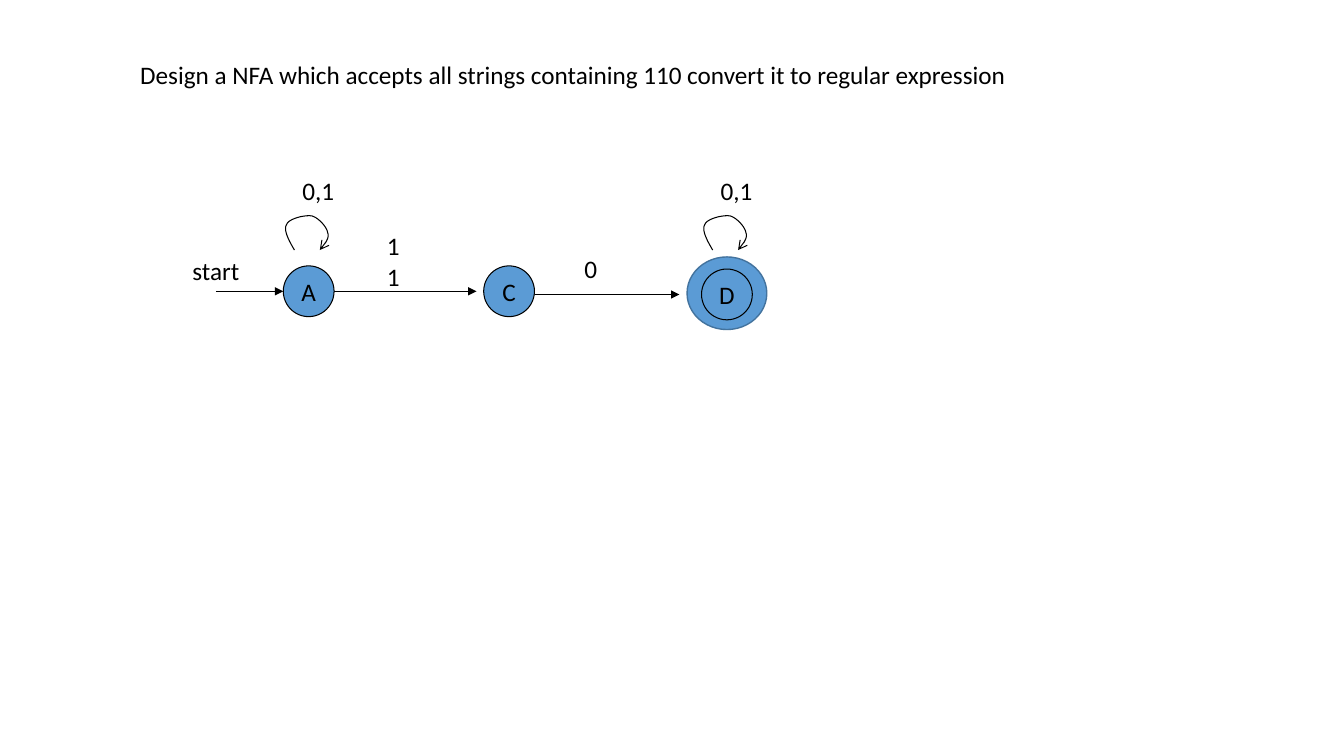
from pptx import Presentation
from pptx.dml.color import RGBColor
from pptx.enum.shapes import MSO_CONNECTOR as Link, MSO_SHAPE as Preset
from pptx.enum.text import MSO_ANCHOR as Anchor, MSO_AUTO_SIZE as Fit, PP_ALIGN as Align
from pptx.oxml.ns import qn
from pptx.util import Cm, Pt
from lxml.etree import SubElement

INK, STATE_BLUE, RIM_BLUE = "000000", "5B9BD5", "43739E"
FONT = {"name": "Calibri", "size": Pt(18), "bold": False}
LABEL_FRAME = {"word_wrap": False, "auto_size": Fit.SHAPE_TO_FIT_TEXT, "vertical_anchor": Anchor.TOP}
STATE_FRAME = {"word_wrap": False, "vertical_anchor": Anchor.MIDDLE}
TITLE_FRAME = LABEL_FRAME | {"word_wrap": True}
LABEL_HEIGHT = 1.02
STATE_SIZE = 1.28
RADIUS = STATE_SIZE / 2
AXIS_Y = 7.34
FINAL_Y = 7.42
STATE_X = {"A": 7.78, "C": 12.83, "D": 18.32}
LOOP_START = (-0.36, 6.3)
LOOP_CURVES = [
    [(-0.51, 6.05), (-0.64, 5.79), (-0.56, 5.66)],
    [(-0.51, 5.51), (-0.1, 5.41), (0.08, 5.44)],
    [(0.25, 5.49), (0.46, 5.72), (0.48, 5.87)],
    [(0.53, 5.99), (0.41, 6.15), (0.28, 6.3)],
]
CURVE_STEPS = 10


def color(value):
    """Turn a hex string into a colour."""
    return RGBColor.from_string(value)


def apply(target, values):
    """Set every attribute in the dict on the target."""
    for name, value in values.items():
        setattr(target, name, value)


def write(frame, text, layout, align=Align.LEFT):
    """Write one formatted paragraph into a text frame."""
    apply(frame, layout)
    paragraph = frame.paragraphs[0]
    paragraph.alignment = align
    run = paragraph.add_run()
    run.text = text
    apply(run.font, FONT)
    run.font.color.rgb = color(INK)


def outline(shape, line_color=INK, width=0.75):
    """Give a shape its line colour and width."""
    shape.line.color.rgb = color(line_color)
    shape.line.width = Pt(width)


def add_arrowhead(shape, head):
    """End the line of a shape with an arrowhead."""
    SubElement(shape.element.spPr.find(qn("a:ln")), qn("a:tailEnd"), type=head)


def add_title(slide, text):
    """Place and write the slide title."""
    title = slide.shapes.title
    apply(title, {"left": Cm(3.28), "top": Cm(1.37), "width": Cm(28.4), "height": Cm(LABEL_HEIGHT)})
    write(title.text_frame, text, TITLE_FRAME)


def add_label(slide, text, left, top, width):
    """Add a symbol or word beside an arrow."""
    label = slide.shapes.add_textbox(Cm(left), Cm(top), Cm(width), Cm(LABEL_HEIGHT))
    write(label.text_frame, text, LABEL_FRAME)


def add_oval(slide, x, y, width, height, line_color=INK, line_width=0.75):
    """Add a blue oval centred on a point."""
    oval = slide.shapes.add_shape(
        Preset.OVAL, Cm(x - width / 2), Cm(y - height / 2), Cm(width), Cm(height))
    oval.shadow.inherit = False
    oval.fill.solid()
    oval.fill.fore_color.rgb = color(STATE_BLUE)
    outline(oval, line_color, line_width)
    return oval


def add_state(slide, name, y):
    """Add a named state of the automaton."""
    state = add_oval(slide, STATE_X[name], y, STATE_SIZE, STATE_SIZE)
    write(state.text_frame, name, STATE_FRAME, Align.CENTER)


def add_transition(slide, start_x, end_x, y):
    """Add a horizontal transition arrow."""
    arrow = slide.shapes.add_connector(Link.STRAIGHT, Cm(start_x), Cm(y), Cm(end_x), Cm(y))
    outline(arrow)
    add_arrowhead(arrow, "triangle")
    SubElement(arrow.element.spPr, qn("a:effectLst"))


def curve_points(start, controls):
    """Return points along one cubic curve after its start."""
    points = []
    for step in range(1, CURVE_STEPS + 1):
        t = step / CURVE_STEPS
        weights = ((1 - t) ** 3, 3 * t * (1 - t) ** 2, 3 * t ** 2 * (1 - t), t ** 3)
        points.append(tuple(
            sum(weight * value for weight, value in zip(weights, axis))
            for axis in zip(start, *controls)))
    return points


def add_loop(slide, center_x, symbols):
    """Add a labelled self-loop above a state."""
    points, start = [], LOOP_START
    for controls in LOOP_CURVES:
        points += curve_points(start, controls)
        start = controls[-1]
    builder = slide.shapes.build_freeform(Cm(center_x + LOOP_START[0]), Cm(LOOP_START[1]))
    builder.add_line_segments([(Cm(center_x + x), Cm(y)) for x, y in points], close=False)
    loop = builder.convert_to_shape()
    loop.shadow.inherit = False
    loop.fill.background()
    outline(loop)
    add_arrowhead(loop, "arrow")
    add_label(slide, symbols, center_x - 0.41, 4.29, 1.32)


def main():
    """Build the automaton slide and save it."""
    deck = Presentation()
    apply(deck, {"slide_width": Cm(33.87), "slide_height": Cm(19.05)})
    slide = deck.slides.add_slide(deck.slide_layouts[5])
    add_title(slide, "Design a NFA which accepts all strings containing 110 convert it to regular expression")

    add_transition(slide, 5.44, STATE_X["A"] - RADIUS, AXIS_Y)
    add_transition(slide, STATE_X["A"] + RADIUS, 12.01, AXIS_Y)
    add_transition(slide, STATE_X["C"] + RADIUS, 17.12, FINAL_Y)
    add_label(slide, "start", 4.6, 6.3, 1.7)
    add_label(slide, "11", 9.5, 5.69, 1.14)
    add_label(slide, "0", 14.48, 6.27, 0.84)

    add_oval(slide, STATE_X["D"], 7.39, 2.01, 1.83, RIM_BLUE, 1)
    for name, y in (("A", AXIS_Y), ("C", AXIS_Y), ("D", FINAL_Y)):
        add_state(slide, name, y)
    for name in ("A", "D"):
        add_loop(slide, STATE_X[name], "0,1")
    deck.save("out.pptx")


if __name__ == "__main__":
    main()
